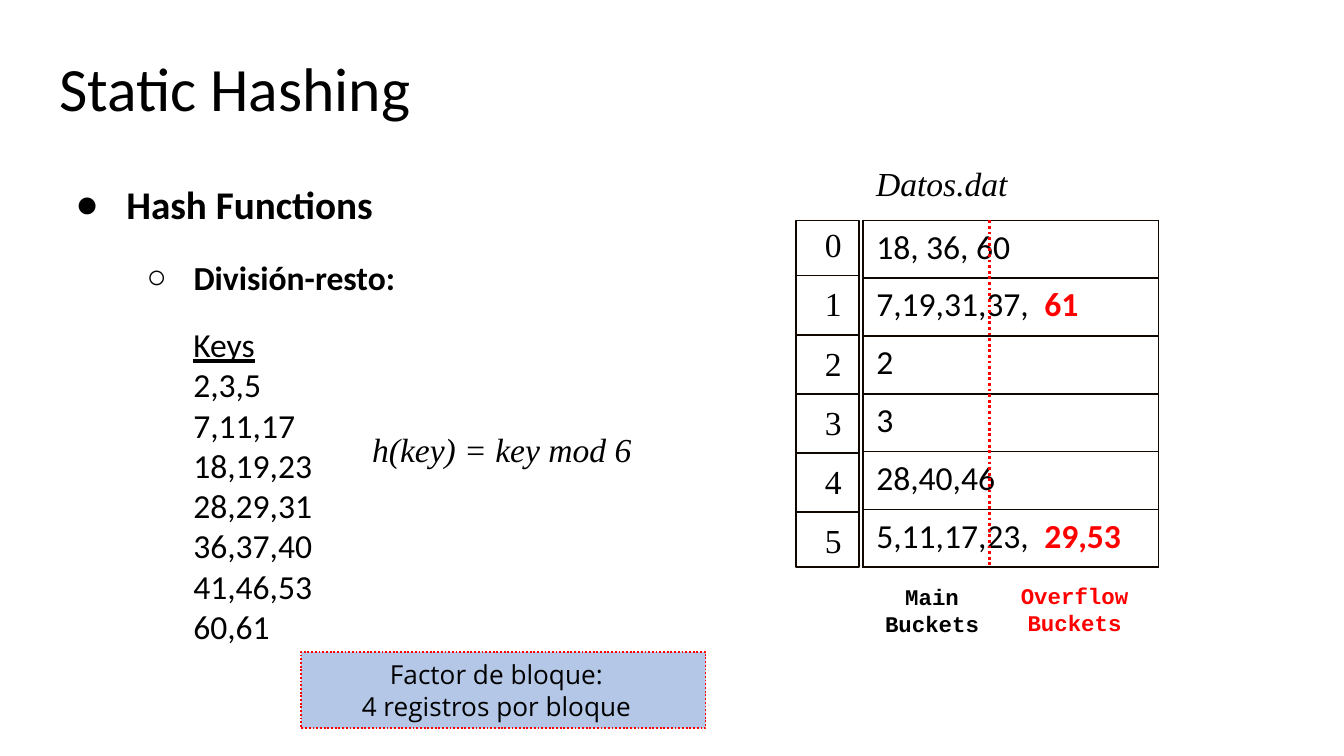
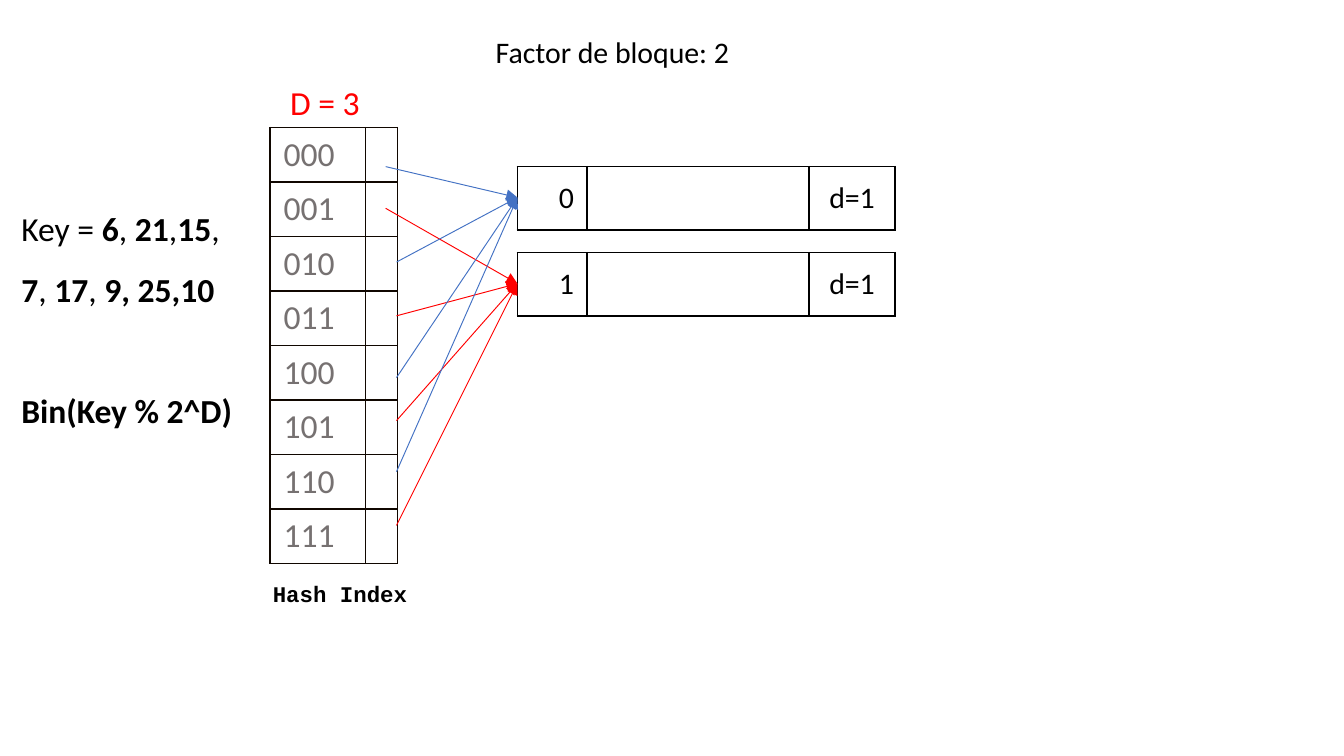
from lxml import etree
from pptx import Presentation
from pptx import util as u
from pptx.dml.color import RGBColor
from pptx.enum import dml, shapes, text
from pptx.oxml.ns import qn

BLACK, INK, RED, BLUE = "000000", "100700", "FF0000", "4472C4"
GREY, PALE_BLUE = "767171", "B4C7E7"
SANS, SERIF, MONO, CAPTION = "Calibri", "Times New Roman", "Courier New", "Open Sans"
LEFT, CENTER, RIGHT = text.PP_ALIGN.LEFT, text.PP_ALIGN.CENTER, text.PP_ALIGN.RIGHT


def rgb(value):
    return RGBColor.from_string(value)


def inches(*values):
    return [u.Inches(value) for value in values]


def sub(parent, tag, **attributes):
    return etree.SubElement(parent, qn(tag), attributes)


def format_span(span, size, font=SANS, color=BLACK, bold=False, italic=False):
    span.font.size, span.font.name = u.Pt(size), font
    span.font.bold, span.font.italic = bold, italic
    span.font.color.rgb = rgb(color)


def format_text(frame, size, align=LEFT, spacing=None, **style):
    for para in frame.paragraphs:
        para.alignment = align
        if spacing:
            para.line_spacing = spacing
        for span in para.runs:
            format_span(span, size, **style)


def add_span(para, words, size, **style):
    span = para.add_run()
    span.text = words
    format_span(span, size, **style)


def add_label(target, box, words, size, wrap=False, **style):
    """Add a text box to a slide's or group's shapes and return its text frame."""
    frame = target.add_textbox(*inches(*box)).text_frame
    frame.word_wrap = wrap
    frame.text = words
    format_text(frame, size, **style)
    return frame


def add_line(target, start, end, color, width, dotted=False, arrow=False):
    line = target.add_connector(shapes.MSO_CONNECTOR.STRAIGHT, *inches(*start, *end))
    line.line.color.rgb = rgb(color)
    line.line.width = u.Pt(width)
    if dotted:
        line.line.dash_style = dml.MSO_LINE.ROUND_DOT
    properties = line._element.spPr
    if arrow:
        sub(properties.find(qn("a:ln")), "a:tailEnd", type="triangle")
    sub(properties, "a:effectLst")


def add_rectangle(target, box, line_color, fill=None):
    rectangle = target.add_shape(shapes.MSO_SHAPE.RECTANGLE, *inches(*box))
    rectangle.shadow.inherit = False
    rectangle.line.color.rgb = rgb(line_color)
    rectangle.line.width = u.Pt(1)
    if fill:
        rectangle.fill.solid()
        rectangle.fill.fore_color.rgb = rgb(fill)
    else:
        rectangle.fill.background()
    return rectangle


def add_grid(page, left, top, widths, height, rows, border):
    """Add an unfilled table with thin borders; all rows share one height."""
    box = inches(left, top, sum(widths), height * len(rows))
    table = page.shapes.add_table(len(rows), len(widths), *box).table
    table.first_row = table.horz_banding = False
    for column, width in zip(table.columns, widths):
        column.width = u.Inches(width)
    for row, words in zip(table.rows, rows):
        row.height = u.Inches(height)
        for cell, word in zip(row.cells, words):
            cell.text = word
            properties = cell._tc.get_or_add_tcPr()
            for side in ("a:lnL", "a:lnR", "a:lnT", "a:lnB"):
                edge = sub(properties, side, w=str(u.Pt(1)))
                sub(sub(edge, "a:solidFill"), "a:srgbClr", val=border)
            cell.fill.background()
    return table


def place(holder, box):
    holder.left, holder.top, holder.width, holder.height = inches(*box)
    frame = holder.text_frame
    frame.auto_size = text.MSO_AUTO_SIZE.NONE
    frame.vertical_anchor = text.MSO_ANCHOR.TOP
    frame.margin_left = frame.margin_right = u.Inches(0.1)
    frame.margin_top = frame.margin_bottom = u.Inches(0.1)
    return frame


def fill_title(page, box, words):
    frame = place(page.shapes.title, box)
    frame.text = words
    format_text(frame, 33, spacing=0.9)


def fill_outline(page, box, items):
    """Fill the body with (text, size, indent, hanging, space before, bullet) items."""
    frame = place(page.placeholders[1], box)
    frame.text = "\n".join(item[0] for item in items)
    format_text(frame, 18, bold=True)
    for level, (para, item) in enumerate(zip(frame.paragraphs, items)):
        _, size, indent, hanging, before, bullet = item
        para.level = level
        para.space_before = u.Pt(before)
        properties = para._p.get_or_add_pPr()
        properties.set("marL", str(u.Inches(indent)))
        properties.set("indent", str(u.Inches(-hanging)))
        sub(properties, "a:buChar", char=bullet)
        para.runs[0].font.size = u.Pt(size)


def add_bucket_numbers(page, left, top, width, height, count):
    group = page.shapes.add_group_shape().shapes
    add_rectangle(group, (left, top, width, height), INK)
    for number in range(count):
        if number:
            y = top + 0.41 + 0.44 * (number - 1)
            add_line(group, (left, y), (left + width, y), INK, 1)
        label = (left + 0.12, top - 0.02 + 0.44 * number, 0.33, 0.4)
        add_label(group, label, str(number), 18, font=SERIF)


def add_data_file(page, left, top, buckets):
    """Draw the data file: name, numbered buckets, overflow divider and captions."""
    row_height, width = 0.43, 2.2
    bottom = top + row_height * len(buckets)
    add_bucket_numbers(page, left - 0.5, top, 0.47, bottom - top, len(buckets))
    table = add_grid(page, left, top, [width], row_height,
                     [(main,) for main, _ in buckets], INK)
    for row, (_, overflow) in zip(table.rows, buckets):
        frame = row.cells[0].text_frame
        format_text(frame, 18)
        if overflow:
            para = frame.paragraphs[0]
            stops = sub(para._p.get_or_add_pPr(), "a:tabLst")
            sub(stops, "a:tab", pos=str(u.Inches(1.25)), algn="l")
            add_span(para, "\t", 18)
            add_span(para, overflow, 18, color=RED, bold=True)
    divider = left + 0.94
    add_line(page.shapes, (divider, top), (divider, bottom), RED, 1.5, dotted=True)
    caption = dict(size=12, wrap=True, font=MONO, bold=True, align=CENTER)
    add_label(page.shapes, (left - 0.01, bottom + 0.07, 1.05, 0.5), "Main Buckets", **caption)
    add_label(page.shapes, (left + 1.05, bottom + 0.06, 1.05, 0.5), "Overflow\nBuckets",
              color=RED, **caption)
    add_label(page.shapes, (left, top - 0.48, 1.19, 0.4), "Datos.dat", 18,
              font=SERIF, italic=True)


def add_block_factor(page, box):
    note = add_rectangle(page.shapes, box, RED, PALE_BLUE)
    note.line.dash_style = dml.MSO_LINE.ROUND_DOT
    frame = note.text_frame
    frame.margin_right = u.Inches(0.2)
    frame.text = "Factor de bloque:\n4 registros por bloque"
    format_text(frame, 14, font=CAPTION, align=CENTER)


def build_static_hashing(deck):
    page = deck.slides.add_slide(deck.slide_layouts[1])
    fill_title(page, (0.34, 0.33, 9.32, 0.77), "Static Hashing")
    fill_outline(page, (0.34, 1.24, 4.99, 4.05), [
        ("Hash Functions", 21, 0.5, 0.38, 0, "●"),
        ("División-resto:", 18, 1, 0.35, 16, "○"),
    ])
    keys = ["Keys", "2,3,5", "7,11,17", "18,19,23", "28,29,31", "36,37,40",
            "41,46,53", "60,61"]
    frame = add_label(page.shapes, (1.34, 2.36, 1.19, 1.99), "\n".join(keys), 18, wrap=True)
    frame.paragraphs[0].runs[0].font.underline = True
    add_label(page.shapes, (2.67, 3.14, 2.15, 0.4), "h(key) = key mod 6", 18,
              font=SERIF, italic=True)
    add_data_file(page, 6.42, 1.64, [
        ("18, 36, 60", ""), ("7,19,31,37,", "61"), ("2", ""), ("3", ""),
        ("28,40,46", ""), ("5,11,17,23,", "29,53"),
    ])
    add_block_factor(page, (2.24, 4.85, 3.01, 0.57))


def indent_all(frame):
    for para in frame.paragraphs:
        para._p.get_or_add_pPr().set("marL", str(u.Inches(0.12)))


def add_key_list(page, box):
    frame = add_label(page.shapes, box, "\nBin(Key % 2^D)", 18, wrap=True,
                      bold=True, spacing=1.5)
    keys, formula = frame.paragraphs
    pieces = ["Key = ", "6", ", ", "21", ",", "15", ", ", "7", ", ", "17", ", ", "9, 25,10"]
    for number, piece in enumerate(pieces):
        add_span(keys, piece, 18, bold=number % 2 == 1)
    formula.space_before = u.Pt(32.4)
    indent_all(frame)


def add_hash_index(page, left, top, depth):
    rows = [(format(entry, f"0{depth}b"), "") for entry in range(2 ** depth)]
    table = add_grid(page, left, top, [0.71, 0.23], 0.4, rows, INK)
    for row in table.rows:
        format_text(row.cells[0].text_frame, 18, color=GREY)
    heading = add_label(page.shapes, (left - 0.07, top - 0.54, 0.85, 0.51),
                        f"D = {depth}", 18, color=RED, spacing=1.5)
    indent_all(heading)
    add_label(page.shapes, (left - 0.63, top + 3.32, 2.3, 0.3), "Hash Index", 12,
              wrap=True, font=MONO, bold=True, align=CENTER)


def add_bucket(page, left, top, suffix):
    table = add_grid(page, left, top, [0.52, 1.65, 0.64], 0.47, [(suffix, "", "d=1")], BLACK)
    for cell, align in zip(table.rows[0].cells, (RIGHT, LEFT, CENTER)):
        cell.vertical_anchor = text.MSO_ANCHOR.MIDDLE
        format_text(cell.text_frame, 16, align=align)


def build_extendible_index(deck):
    page = deck.slides.add_slide(deck.slide_layouts[6])
    add_hash_index(page, 2.01, 0.95, 3)
    add_key_list(page, (-0.06, 1.35, 1.91, 2.33))
    add_label(page.shapes, (3.59, 0.2, 1.96, 0.64), "Factor de bloque: 2", 16)
    bucket_left, bucket_tops = 3.85, (1.24, 1.88)
    for suffix, top in enumerate(bucket_tops):
        add_bucket(page, bucket_left, top, str(suffix))
    entry_heights = [1.24, 1.55, 1.95, 2.35, 2.81, 3.13, 3.51, 3.91]
    for entry, y in enumerate(entry_heights):
        suffix = entry % 2
        start = (2.87 if entry < 2 else 2.95, y)
        end = (bucket_left, bucket_tops[suffix] + 0.23)
        add_line(page.shapes, start, end, (BLUE, RED)[suffix], 0.5, arrow=True)


def main():
    deck = Presentation()
    deck.slide_width = u.Inches(10)
    deck.slide_height = deck.slide_width * 9 // 16
    build_static_hashing(deck)
    build_extendible_index(deck)
    deck.save("out.pptx")


if __name__ == "__main__":
    main()
